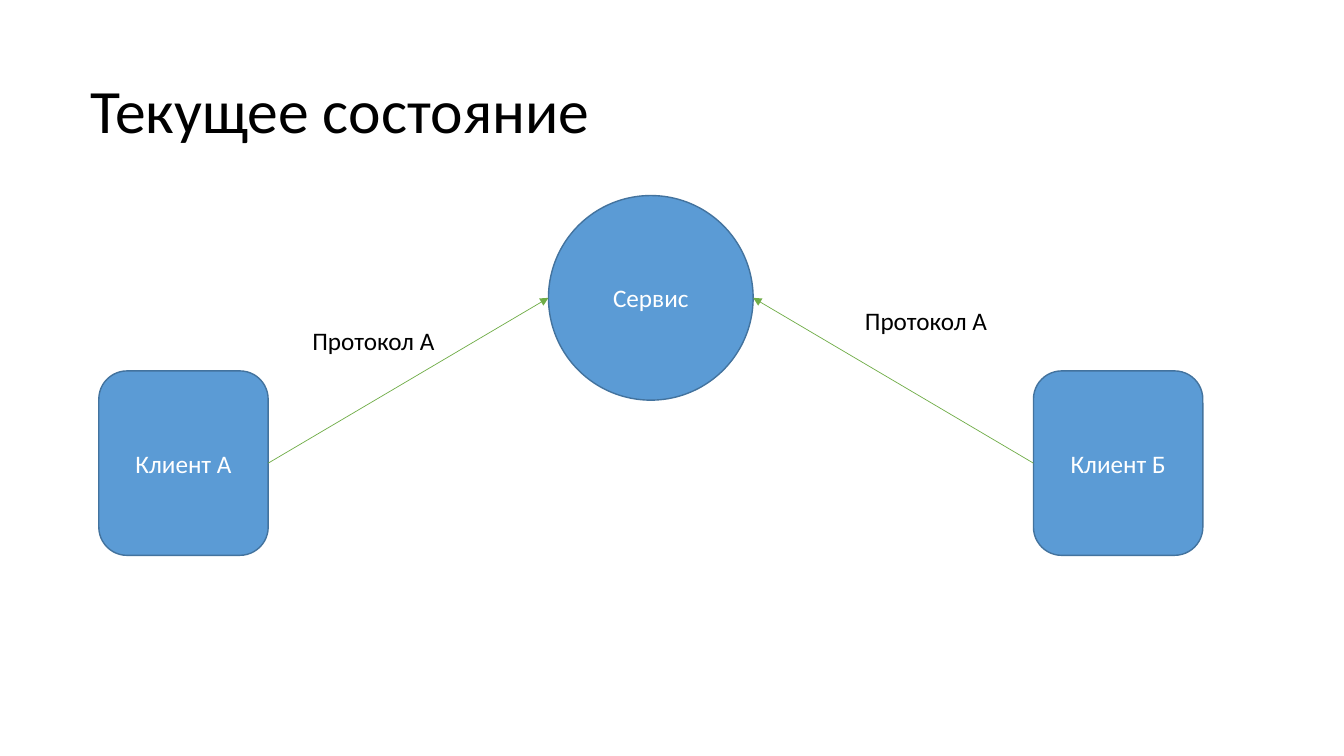
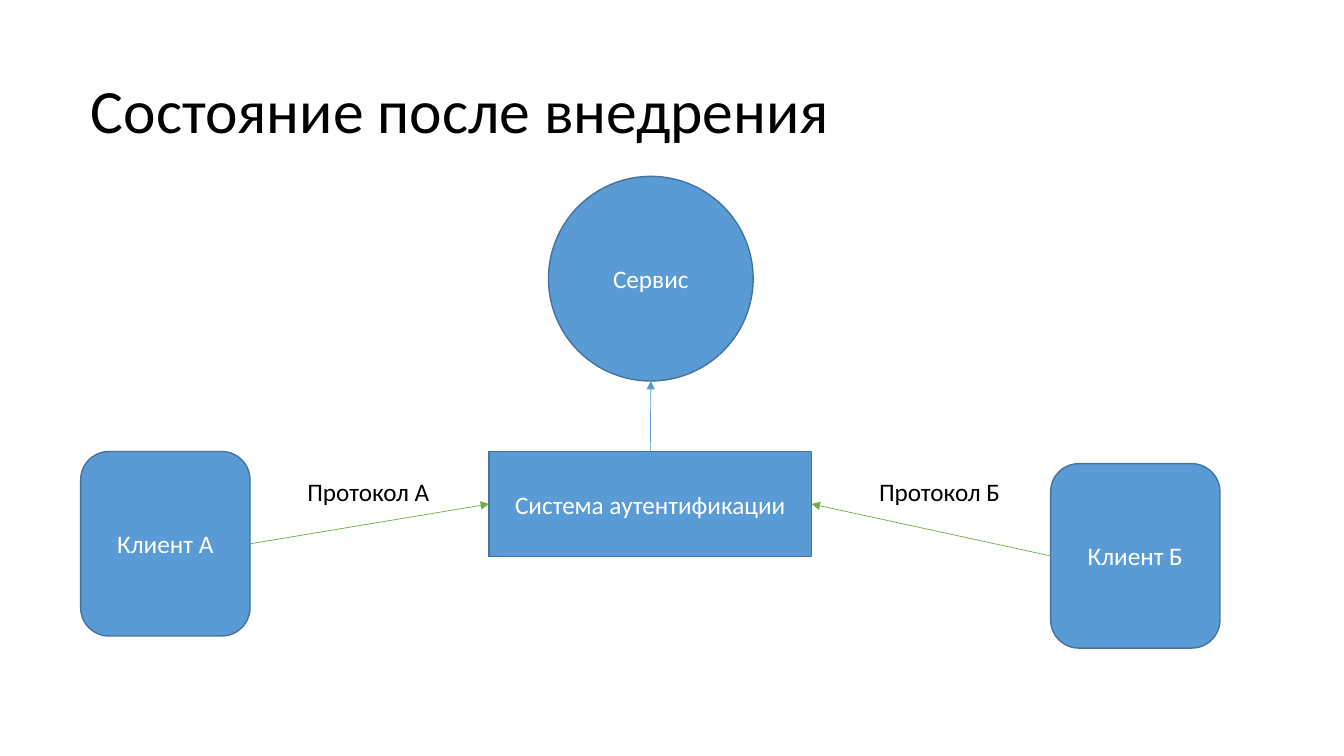
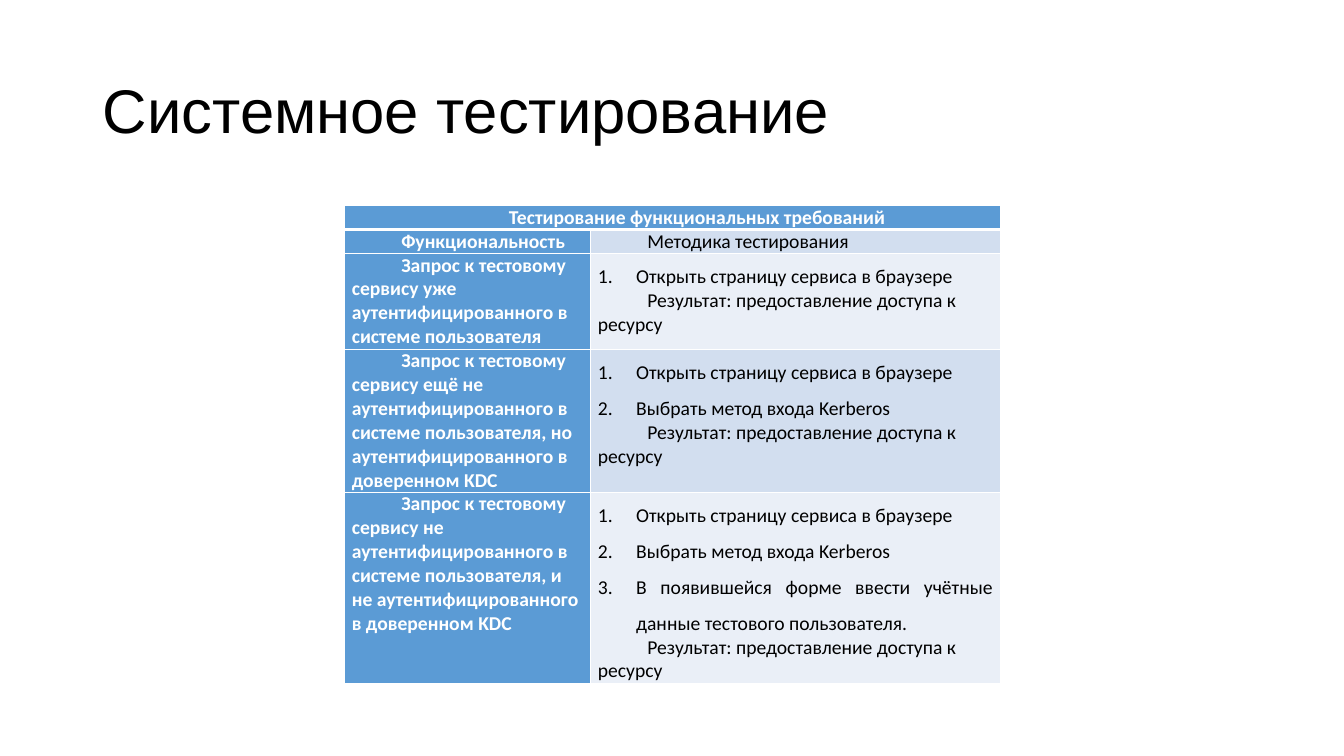
from lxml import etree
from pptx import Presentation
from pptx.dml.color import RGBColor
from pptx.enum.shapes import MSO_CONNECTOR, MSO_SHAPE as Preset
from pptx.enum.text import MSO_ANCHOR as Anchor, MSO_AUTO_SIZE as AutoSize, PP_ALIGN as Align
from pptx.oxml.ns import qn
from pptx.util import Inches, Pt

BLUE = RGBColor(0x5B, 0x9B, 0xD5)
DARK_BLUE = RGBColor(0x43, 0x73, 0x9E)
GREEN = RGBColor(0x70, 0xAD, 0x47)
BAND_DARK = RGBColor(0xD2, 0xDE, 0xEF)
BAND_LIGHT = RGBColor(0xEA, 0xEF, 0xF7)
WHITE = RGBColor(0xFF, 0xFF, 0xFF)
BLACK = RGBColor(0, 0, 0)
BODY_FONT = "Calibri"

CLIENT_SIZE = (1.68, 1.83)
SERVICE_SIZE = (2.03, 2.03)
AUTHENTICATION_SIZE = (3.2, 1.04)
LABEL_SIZE = (1.43, 0.4)

# Table content: functionality, test steps
TABLE_TITLE = "Тестирование функциональных требований"
TABLE_HEADINGS = ("Функциональность", "Методика тестирования")
RESULT = "Результат: предоставление доступа к ресурсу"
STEPS = (
    "Открыть страницу сервиса в браузере",
    "Выбрать метод входа Kerberos",
    "В появившейся форме ввести учётные данные тестового пользователя.",
)
TESTS = (
    ("Запрос к тестовому сервису уже аутентифицированного в системе пользователя",
     STEPS[:1]),
    ("Запрос к тестовому сервису ещё не аутентифицированного в системе "
     "пользователя, но аутентифицированного в доверенном KDC", STEPS[:2]),
    ("Запрос к тестовому сервису не аутентифицированного в системе "
     "пользователя, и не аутентифицированного в доверенном KDC", STEPS),
)
COLUMN_WIDTHS = (2.44, 4.06)
ROW_HEIGHTS = (0.23, 0.23, 0.95, 1.42, 1.84)


def add_run(paragraph, text, size, color, bold=False, font=BODY_FONT):
    run = paragraph.add_run()
    run.text = text
    run.font.name = font
    run.font.size = Pt(size)
    run.font.bold = bold
    run.font.color.rgb = color


def add_titled_slide(presentation, title, left=0.8, font=BODY_FONT):
    slide = presentation.slides.add_slide(presentation.slide_layouts[5])
    shape = slide.shapes.title
    shape.left, shape.top = Inches(left), Inches(0.4)
    shape.width, shape.height = Inches(11.5), Inches(1.45)
    frame = shape.text_frame
    frame.auto_size = AutoSize.NONE
    frame.vertical_anchor = Anchor.MIDDLE
    paragraph = frame.paragraphs[0]
    paragraph.alignment = Align.LEFT
    paragraph.line_spacing = 0.9
    add_run(paragraph, title, 44, BLACK, font=font)
    return slide


# Diagram elements
def add_node(slide, preset, left, top, size, text):
    shape = slide.shapes.add_shape(
        preset, Inches(left), Inches(top), Inches(size[0]), Inches(size[1]))
    shape.shadow.inherit = False
    shape.fill.solid()
    shape.fill.fore_color.rgb = BLUE
    shape.line.color.rgb = DARK_BLUE
    shape.line.width = Pt(1)
    shape.text_frame.vertical_anchor = Anchor.MIDDLE
    paragraph = shape.text_frame.paragraphs[0]
    paragraph.alignment = Align.CENTER
    add_run(paragraph, text, 18, WHITE)
    return shape


def add_client(slide, left, top, text):
    return add_node(slide, Preset.ROUNDED_RECTANGLE, left, top, CLIENT_SIZE, text)


def add_service(slide, top):
    return add_node(slide, Preset.OVAL, 5.44, top, SERVICE_SIZE, "Сервис")


def add_label(slide, left, top, text):
    box = slide.shapes.add_textbox(
        Inches(left), Inches(top), Inches(LABEL_SIZE[0]), Inches(LABEL_SIZE[1]))
    box.text_frame.word_wrap = False
    box.text_frame.auto_size = AutoSize.SHAPE_TO_FIT_TEXT
    add_run(box.text_frame.paragraphs[0], text, 18, BLACK)


def edge_point(shape, side):
    """Return the middle of one side of a shape."""
    across, down = {"left": (0, 0.5), "right": (1, 0.5),
                    "top": (0.5, 0), "bottom": (0.5, 1)}[side]
    return (int(shape.left + across * shape.width),
            int(shape.top + down * shape.height))


def add_arrow(slide, source, source_side, target, target_side, color=GREEN):
    connector = slide.shapes.add_connector(
        MSO_CONNECTOR.STRAIGHT,
        *edge_point(source, source_side), *edge_point(target, target_side))
    connector.line.color.rgb = color
    connector.line.width = Pt(0.5)
    properties = connector.line._get_or_add_ln()
    etree.SubElement(properties, qn("a:tailEnd"), type="triangle")
    etree.SubElement(connector._element.spPr, qn("a:effectLst"))


# Table elements
def set_cell_borders(cell, widths):
    """Draw white borders; widths are points for left, right, top, bottom."""
    properties = cell._tc.get_or_add_tcPr()
    for index, (side, width) in enumerate(zip("LRTB", widths)):
        line = etree.Element(qn(f"a:ln{side}"), w=str(Pt(width)))
        fill = etree.SubElement(line, qn("a:solidFill"))
        etree.SubElement(fill, qn("a:srgbClr"), val=str(WHITE))
        properties.insert(index, line)


def format_cell(cell, fill, top=1, bottom=1):
    cell.margin_left = cell.margin_right = Inches(0.07)
    cell.margin_top = cell.margin_bottom = 0
    cell.fill.solid()
    cell.fill.fore_color.rgb = fill
    set_cell_borders(cell, (1, 1, top, bottom))


def set_indent(paragraph, left, first_line):
    properties = paragraph._p.get_or_add_pPr()
    properties.set("marL", str(Inches(left)))
    properties.set("indent", str(Inches(first_line)))
    return properties


def write_text(paragraph, text, color=BLACK, bold=False, alignment=Align.LEFT):
    paragraph.alignment = alignment
    set_indent(paragraph, 0, 0.49)
    add_run(paragraph, text, 14, color, bold)


def write_step(paragraph, text):
    paragraph.alignment = Align.JUSTIFY
    paragraph.line_spacing = 1.5
    properties = set_indent(paragraph, 0.38, -0.38)
    etree.SubElement(properties, qn("a:buFont"), typeface="+mj-lt")
    etree.SubElement(properties, qn("a:buAutoNum"), type="arabicPeriod")
    add_run(paragraph, text, 14, BLACK)


def add_test_table(slide):
    table = slide.shapes.add_table(
        len(ROW_HEIGHTS), len(COLUMN_WIDTHS), Inches(3.42), Inches(2.04),
        Inches(sum(COLUMN_WIDTHS)), Inches(sum(ROW_HEIGHTS))).table
    for column, width in zip(table.columns, COLUMN_WIDTHS):
        column.width = Inches(width)
    for row, height in zip(table.rows, ROW_HEIGHTS):
        row.height = Inches(height)

    # Fills and borders
    right_fills = (BLUE, BAND_DARK, BAND_LIGHT, BAND_DARK, BAND_LIGHT)
    for index, right_fill in enumerate(right_fills):
        for column, fill in enumerate((BLUE, right_fill)):
            format_cell(table.cell(index, column), fill,
                        top=3 if index == 1 else 1,
                        bottom=3 if index == 0 else 1)

    # Heading rows
    heading = table.cell(0, 0)
    heading.merge(table.cell(0, 1))
    write_text(heading.text_frame.paragraphs[0], TABLE_TITLE, WHITE, True, Align.CENTER)
    left, right = (table.cell(1, column).text_frame.paragraphs[0] for column in (0, 1))
    write_text(left, TABLE_HEADINGS[0], WHITE, True)
    write_text(right, TABLE_HEADINGS[1])

    # Test rows
    for index, (functionality, steps) in enumerate(TESTS, start=2):
        write_text(table.cell(index, 0).text_frame.paragraphs[0],
                   functionality, WHITE, True)
        frame = table.cell(index, 1).text_frame
        write_step(frame.paragraphs[0], steps[0])
        for step in steps[1:]:
            write_step(frame.add_paragraph(), step)
        write_text(frame.add_paragraph(), RESULT)


# Slides
def build_current_state(presentation):
    slide = add_titled_slide(presentation, "Текущее состояние")
    client_a = add_client(slide, 0.98, 3.68, "Клиент А")
    service = add_service(slide, 1.94)
    add_arrow(slide, client_a, "right", service, "left")
    client_b = add_client(slide, 10.25, 3.68, "Клиент Б")
    add_arrow(slide, client_b, "left", service, "right")
    add_label(slide, 3, 3.18, "Протокол А")
    add_label(slide, 8.48, 2.98, "Протокол А")


def build_future_state(presentation):
    slide = add_titled_slide(presentation, "Состояние после внедрения")
    client_a = add_client(slide, 0.8, 4.48, "Клиент А")
    service = add_service(slide, 1.75)
    client_b = add_client(slide, 10.42, 4.6, "Клиент Б")
    authentication = add_node(slide, Preset.RECTANGLE, 4.85, 4.48,
                              AUTHENTICATION_SIZE, "Система аутентификации")
    add_arrow(slide, client_a, "right", authentication, "left")
    add_arrow(slide, client_b, "left", authentication, "right")
    add_arrow(slide, authentication, "top", service, "bottom", BLUE)
    add_label(slide, 2.95, 4.68, "Протокол А")
    add_label(slide, 8.62, 4.68, "Протокол Б")


def build_testing(presentation):
    slide = add_titled_slide(presentation, "Системное тестирование", 0.92, "Arial")
    add_test_table(slide)


def main():
    presentation = Presentation()
    presentation.slide_width = Inches(13.33)
    presentation.slide_height = Inches(7.5)
    build_current_state(presentation)
    build_future_state(presentation)
    build_testing(presentation)
    presentation.save("out.pptx")


main()
